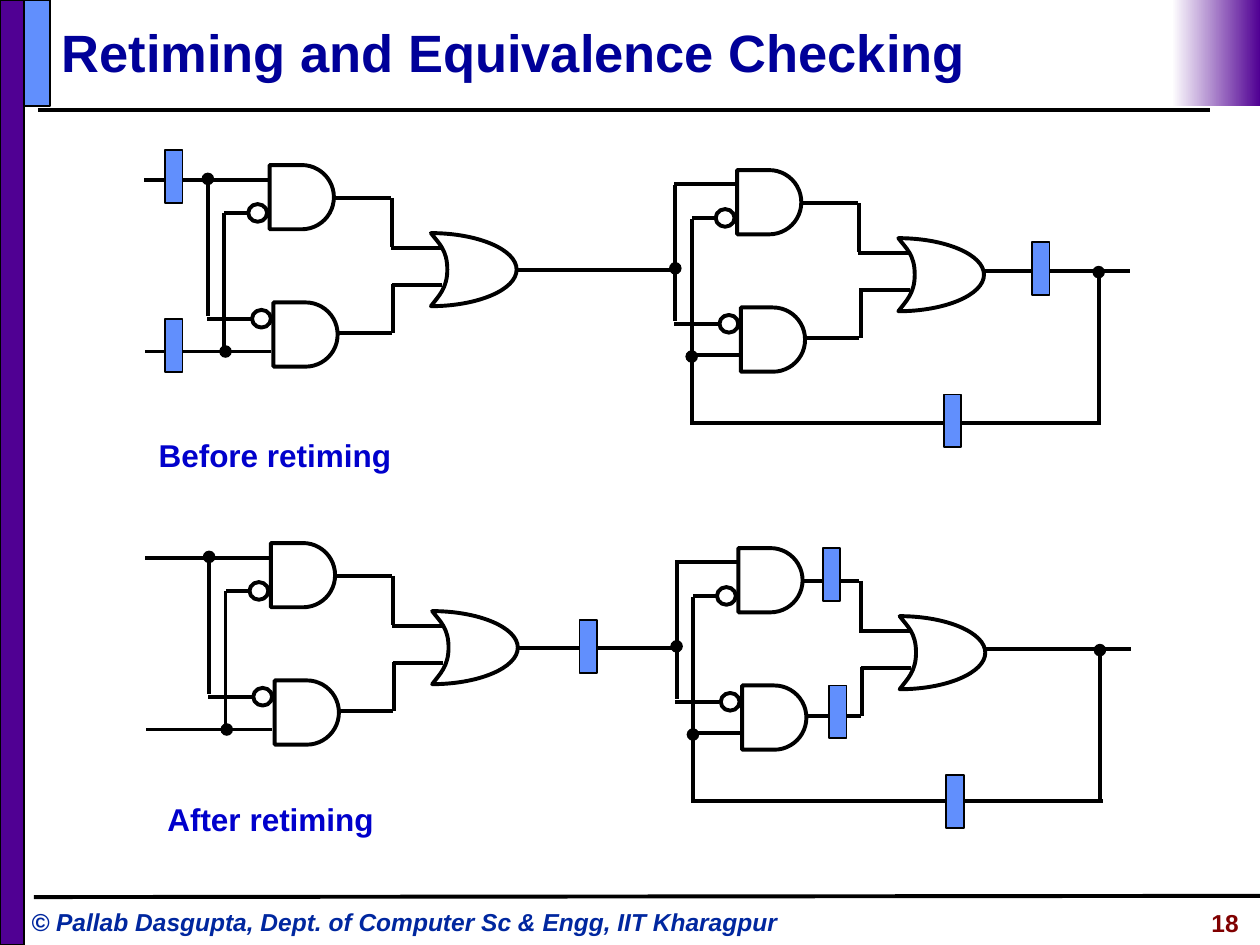
import lxml.etree
import pptx
import pptx.dml.color
import pptx.enum.shapes
import pptx.enum.text
import pptx.oxml.ns
import pptx.util

Inches = pptx.util.Inches
qn = pptx.oxml.ns.qn
SHAPE = pptx.enum.shapes.MSO_SHAPE
ALIGN = pptx.enum.text.PP_ALIGN
BLACK, PURPLE, BLUE = "000000", "500093", "618FFD"

OR_CURVES = [
    ((0.06, 0.08), (0.13, 0.13), (0.13, 0.29)),
    ((0.13, 0.44), (0.06, 0.5), (0, 0.58)),
    ((0.37, 0.58), (0.68, 0.45), (0.68, 0.29)),
    ((0.68, 0.13), (0.37, 0), (0, 0)),
]
MUX_WIRES = [
    (1.86, 0.54, 1.45, 0.54),
    (1.46, 0.83, 1.86, 0.83),
    (1.02, 1.21, 1.46, 1.21),
    (1.47, 1.21, 1.47, 0.82),
    (1, 0.14, 1.45, 0.14),
    (1.46, 0.14, 1.46, 0.53),
    (0.32, 0.26, 0.13, 0.26),
    (0.34, 1.1, -0.01, 1.1),
    (0, 0, 0, 1.08),
]
MUX_ORIGINS = [(1.65, 1.43), (5.36, 1.47)]
CIRCUIT_WIRES = [
    (2.15, 2.79, 1.15, 2.79),
    (1.78, 1.69, 1.78, 2.78),
    (2.14, 1.43, 1.14, 1.43),
    (5.49, 1.74, 5.49, 3.37),
    (4.1, 2.14, 5.36, 2.14),
    (5.35, 1.46, 5.85, 1.46),
    (7.79, 2.15, 8.97, 2.15),
    (5.49, 3.36, 8.74, 3.36),
    (8.72, 3.36, 8.72, 2.14),
    (5.49, 2.82, 5.87, 2.82),
]
JUNCTIONS = [(8.67, 2.11), (1.6, 1.37), (1.74, 2.74), (5.31, 2.08), (5.44, 2.78)]
REGISTERS_BEFORE = [(1.31, 1.19), (1.31, 2.53), (8.19, 1.92), (7.49, 3.13)]
REGISTERS_AFTER = [(4.6, 4.92), (6.58, 5.44), (6.53, 4.35), (7.51, 6.15)]


def color(hex_code):
    return pptx.dml.color.RGBColor.from_string(hex_code)


class CircuitSlide:
    font = "Arial"
    wire_width = 2.25

    def __init__(self, slide):
        self.slide = slide
        self.shapes = slide.shapes

    def style(self, shape, fill, line, width):
        shape.shadow.inherit = False
        if fill:
            shape.fill.solid()
            shape.fill.fore_color.rgb = color(fill)
        else:
            shape.fill.background()
        if line:
            shape.line.color.rgb = color(line)
            shape.line.width = pptx.util.Pt(width)
        else:
            shape.line.fill.background()

    def shape(self, kind, x, y, w, h, fill=None, line=BLACK, width=wire_width):
        shape = self.shapes.add_shape(kind, Inches(x), Inches(y), Inches(w), Inches(h))
        self.style(shape, fill, line, width)
        return shape

    def block(self, x, y, w, h, fill):
        self.shape(SHAPE.RECTANGLE, x, y, w, h, fill, width=1)

    def fade(self, x, y, w, h, start, end):
        shape = self.shape(SHAPE.RECTANGLE, x, y, w, h, line=None)
        shape.fill.gradient()
        shape.fill.gradient_angle = 180
        for stop, hex_code in zip(shape.fill.gradient_stops, (start, end)):
            stop.color.rgb = color(hex_code)

    def wire(self, x1, y1, x2, y2):
        wire = self.shapes.add_connector(
            pptx.enum.shapes.MSO_CONNECTOR.STRAIGHT,
            Inches(x1), Inches(y1), Inches(x2), Inches(y2))
        wire.line.color.rgb = color(BLACK)
        wire.line.width = pptx.util.Pt(self.wire_width)
        lxml.etree.SubElement(wire._element.spPr, qn("a:effectLst"))

    def or_gate(self, x, y):
        builder = self.shapes.build_freeform(Inches(x), Inches(y))
        builder.add_line_segments(
            [(Inches(x + px), Inches(y + py)) for _, _, (px, py) in OR_CURVES], close=True)
        gate = builder.convert_to_shape()
        self.style(gate, None, BLACK, self.wire_width)
        segments = list(gate._element.iter(qn("a:lnTo")))
        for segment, curve in zip(segments, OR_CURVES):
            bezier = lxml.etree.Element(qn("a:cubicBezTo"))
            for px, py in curve:
                lxml.etree.SubElement(bezier, qn("a:pt"),
                                      x=str(int(Inches(px))), y=str(int(Inches(py))))
            segment.getparent().replace(segment, bezier)

    def mux(self, x, y):
        self.or_gate(x + 1.77, y + 0.42)
        for dx, dy in ((0.49, -0.12), (0.52, 0.97)):
            self.shape(SHAPE.FLOWCHART_DELAY, x + dx, y + dy, 0.51, 0.51)
        for dx, dy in ((0.32, 0.19), (0.35, 1.03)):
            self.shape(SHAPE.OVAL, x + dx, y + dy, 0.15, 0.14)
        for x1, y1, x2, y2 in MUX_WIRES:
            self.wire(x + x1, y + y1, x + x2, y + y2)

    def circuit(self, dx, dy, registers):
        self.shapes = self.slide.shapes.add_group_shape().shapes
        for x, y in MUX_ORIGINS:
            self.mux(x + dx, y + dy)
        for x1, y1, x2, y2 in CIRCUIT_WIRES:
            self.wire(x1 + dx, y1 + dy, x2 + dx, y2 + dy)
        for x, y in JUNCTIONS:
            self.shape(SHAPE.OVAL, x + dx, y + dy, 0.1, 0.1, BLACK, None)
        self.shapes = self.slide.shapes
        for x, y in registers:
            self.block(x, y, 0.14, 0.42, BLUE)

    def text(self, words, x, y, w, h, size, hex_code, italic=False,
             align=ALIGN.LEFT, wrap=True, middle=False):
        frame = self.shapes.add_textbox(
            Inches(x), Inches(y), Inches(w), Inches(h)).text_frame
        frame.word_wrap = wrap
        if middle:
            frame.vertical_anchor = pptx.enum.text.MSO_ANCHOR.MIDDLE
        paragraph = frame.paragraphs[0]
        paragraph.text = words
        paragraph.alignment = align
        font = paragraph.font
        font.name = self.font
        font.size = pptx.util.Pt(size)
        font.bold = True
        font.italic = italic
        font.color.rgb = color(hex_code)


def main():
    deck = pptx.Presentation()
    deck.slide_width, deck.slide_height = Inches(10), Inches(7.5)
    page = CircuitSlide(deck.slides.add_slide(deck.slide_layouts[6]))

    page.wire(0.3, 0.87, 9.6, 0.87)
    page.text("© Pallab Dasgupta, Dept. of Computer Sc & Engg, IIT Kharagpur",
              0.15, 7.15, 6.37, 0.34, 14, "00279F", italic=True)
    page.block(0, 0, 0.19, 7.5, PURPLE)
    page.wire(0.27, 7.12, 10, 7.11)
    page.block(0.19, 0, 0.21, 0.84, BLUE)
    page.fade(9.3, 0, 0.7, 0.84, PURPLE, "FFFFFF")
    page.text("Retiming and Equivalence Checking",
              0.39, 0.1, 9.1, 0.61, 30, "000099", middle=True)

    page.circuit(0, 0, REGISTERS_BEFORE)
    page.circuit(0.01, 3, REGISTERS_AFTER)
    page.text("Before retiming", 1.16, 3.41, 2.05, 0.4, 18, "0000CC", wrap=False)
    page.text("After retiming", 1.23, 6.3, 1.84, 0.4, 18, "0000CC", wrap=False)
    page.text("18", 8.18, 7.16, 1.75, 0.35, 14, "800000", align=ALIGN.RIGHT)

    deck.save("out.pptx")


if __name__ == "__main__":
    main()
